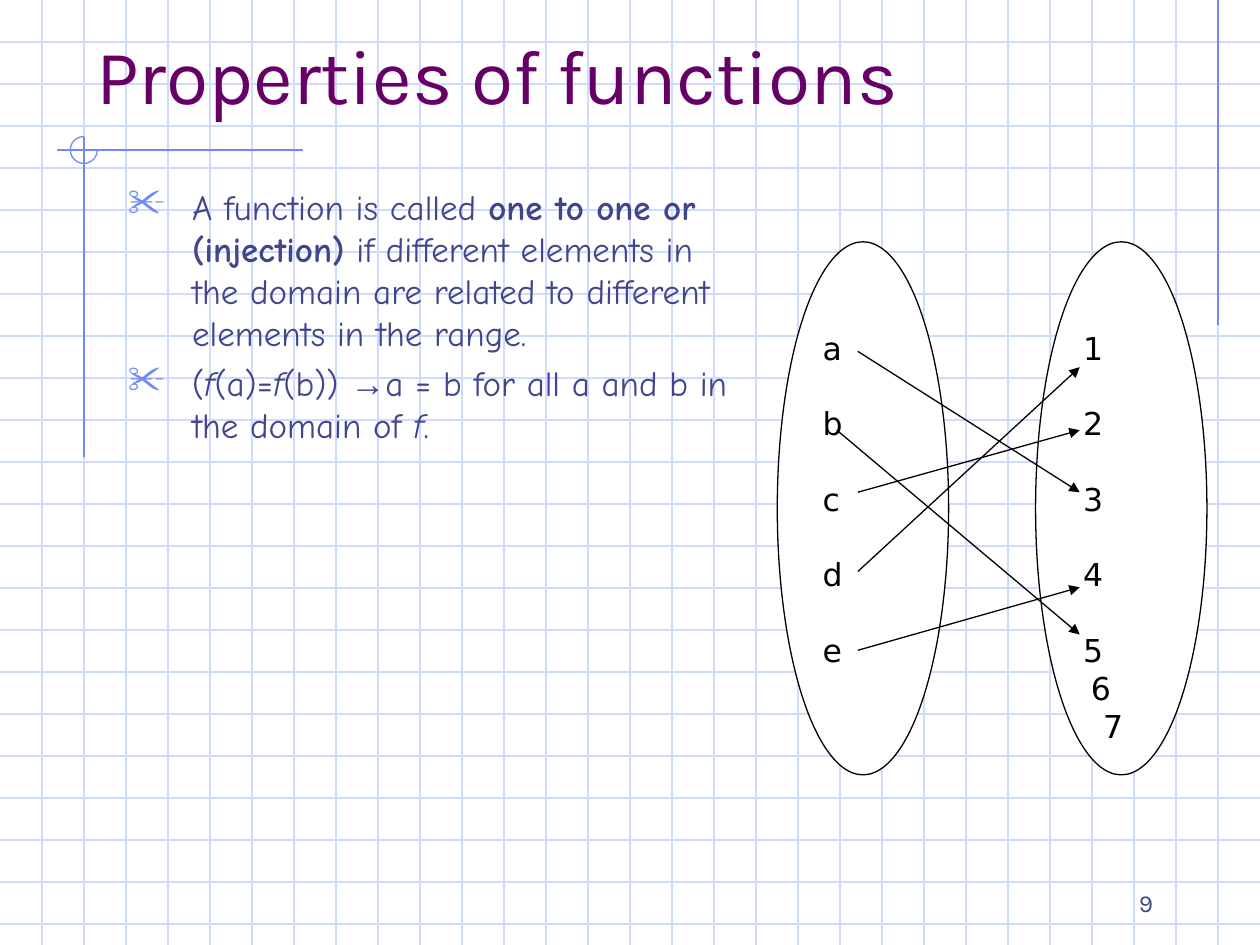
from lxml.etree import SubElement
from pptx import Presentation
from pptx.dml.color import RGBColor
from pptx.enum.shapes import MSO_CONNECTOR, MSO_SHAPE
from pptx.enum.text import MSO_ANCHOR, PP_ALIGN
from pptx.oxml.ns import qn
from pptx.util import Pt

GRID = RGBColor(0xCF, 0xDB, 0xFD)
ACCENT = RGBColor(0x6F, 0x89, 0xF7)
INDIGO = RGBColor(0x40, 0x45, 0x8C)
PURPLE = RGBColor(0x66, 0x00, 0x66)
BLACK = RGBColor(0, 0, 0)
WHITE = RGBColor(0xFF, 0xFF, 0xFF)

WIDTH, HEIGHT, STEP = 720, 540, 24

deck = Presentation()
deck.slide_width, deck.slide_height = Pt(WIDTH), Pt(HEIGHT)
page = deck.slides.add_slide(deck.slide_layouts[6])


def add_line(start, end, color, arrow=False):
    line = page.shapes.add_connector(
        MSO_CONNECTOR.STRAIGHT, *[Pt(value) for value in start + end])
    line.line.color.rgb = color
    line.line.width = Pt(0.75)
    properties = line._element.spPr
    if arrow:
        SubElement(properties.find(qn("a:ln")), qn("a:tailEnd"), type="triangle")
    SubElement(properties, qn("a:effectLst"))


def add_span(para, text, color, **formats):
    span = para.add_run()
    span.text = text
    span.font.color.rgb = color
    for name, value in formats.items():
        setattr(span.font, name, value)


for y in range(STEP, HEIGHT, STEP):
    add_line((0, y), (WIDTH, y), GRID)
for x in range(STEP, WIDTH, STEP):
    add_line((x, 0), (x, HEIGHT), GRID)

add_line((696, 0), (696, 186), ACCENT)
add_line((173, 85.7), (32.5, 85.7), ACCENT)
add_line((48, 78.2), (48, 261), ACCENT)

arc = page.shapes.add_shape(MSO_SHAPE.ARC, Pt(40.2), Pt(78), Pt(15.4), Pt(15.4))
arc.adjustments[0], arc.adjustments[1] = 0, 162
arc.shadow.inherit = False
arc.fill.background()
arc.line.color.rgb = ACCENT
arc.line.width = Pt(0.75)

captions = [
    ("9", (516, 510, 150, 18), PP_ALIGN.RIGHT, 14, INDIGO),
    ("Properties of functions", (48, 24, 648, 48), PP_ALIGN.LEFT, 44, PURPLE),
]
for text, place, align, size, color in captions:
    box = page.shapes.add_textbox(*[Pt(value) for value in place])
    box.text_frame.word_wrap = True
    box.text_frame.vertical_anchor = MSO_ANCHOR.BOTTOM
    para = box.text_frame.paragraphs[0]
    para.alignment = align
    add_span(para, text, color, name="Karla", size=Pt(size))

BOLD, ITALIC, ARIAL = {"bold": True}, {"italic": True}, {"name": "Arial"}
statements = [
    [("A function is called ", {}),
     ("one to one or (injection)", BOLD),
     (" if different elements in the domain are related to different"
      " elements in the range.", {})],
    [("(", {}), ("f", ITALIC), ("(a)=", {}), ("f", ITALIC), ("(b)) ", {}),
     ("→", ARIAL), ("a = b for all a and b in the domain of ", {}),
     ("f", ITALIC), (".", {})],
]
box = page.shapes.add_textbox(Pt(66), Pt(102.2), Pt(358.8), Pt(390))
box.text_frame.word_wrap = True
for index, statement in enumerate(statements):
    para = box.text_frame.add_paragraph() if index else box.text_frame.paragraphs[0]
    properties = para._p.get_or_add_pPr()
    properties.set("marL", str(Pt(36.7)))
    properties.set("indent", str(-Pt(36.7)))
    bullet_color = SubElement(properties, qn("a:buClr"))
    SubElement(bullet_color, qn("a:srgbClr"), val=str(ACCENT))
    SubElement(properties, qn("a:buSzPct"), val="110000")
    SubElement(properties, qn("a:buChar"), char="✂")
    para.line_spacing = Pt(24)
    para.space_before = Pt(5 if index else 0)
    for text, formats in statement:
        add_span(para, text, INDIGO,
                 **{"name": "Comic Neue", "size": Pt(20), **formats})

LINE = 21.6
sets = [
    (444.2, [(letter, 4.5, LINE) for letter in "abcde"]),
    (591.8, [(digit, 5.7, LINE) for digit in "12345"]
     + [("6", 10.2, 0), ("7", 17.2, 0)]),
]
for left, members in sets:
    oval = page.shapes.add_shape(
        MSO_SHAPE.OVAL, Pt(left), Pt(138.2), Pt(97.9), Pt(304.6))
    oval.shadow.inherit = False
    oval.fill.solid()
    oval.fill.fore_color.rgb = WHITE
    oval.line.color.rgb = BLACK
    oval.line.width = Pt(0.75)
    frame = oval.text_frame
    frame.vertical_anchor = MSO_ANCHOR.TOP
    frame.margin_top = Pt(5)
    for index, (text, indent, gap) in enumerate(members):
        para = frame.add_paragraph() if index else frame.paragraphs[0]
        para._p.get_or_add_pPr().set("marL", str(Pt(indent)))
        para.alignment = PP_ALIGN.LEFT
        para.line_spacing = Pt(LINE)
        para.space_before = Pt(gap if index else 0)
        add_span(para, text, BLACK, name="DejaVu Sans", size=Pt(18))

arrows = [
    (490.2, 200.8, 281.3),
    (490.2, 281.3, 245.8),
    (490.2, 326.6, 209.8),
    (478.2, 245.8, 362.6),
    (490.2, 371.6, 335.6),
]
for x, start_y, end_y in arrows:
    add_line((x, start_y), (617, end_y), BLACK, arrow=True)

deck.save("out.pptx")
